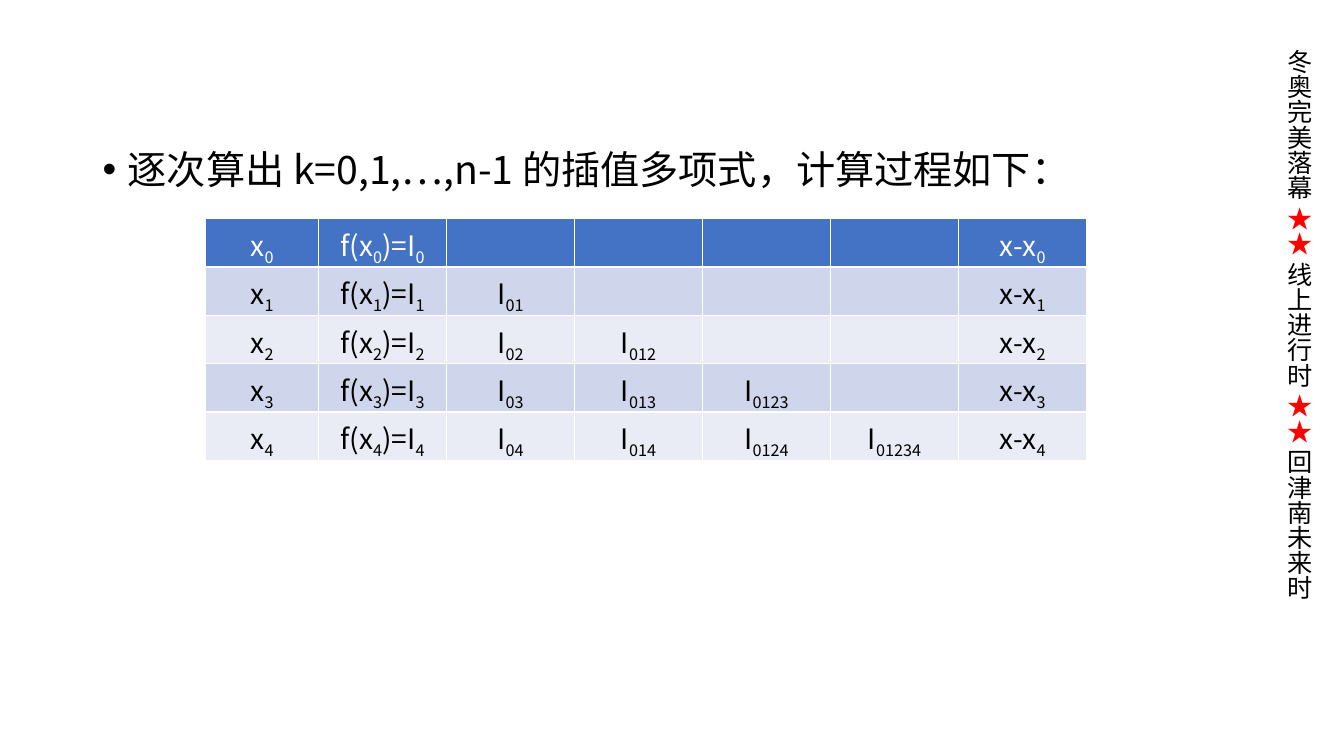
from pptx import Presentation
from pptx import util as u
from pptx.dml import color
from pptx.enum import text
from pptx.oxml import ns
from lxml import etree

PX = 9144
FACE = "Noto Sans CJK SC"


def tint(code):
    return color.RGBColor.from_string(code)


def write(para, size, parts):
    para.font.size = u.Pt(size)
    para.font.name = FACE
    face = etree.SubElement(para._p.pPr.find(ns.qn("a:defRPr")), ns.qn("a:ea"))
    face.set("typeface", FACE)
    for words, ink, base in parts:
        run = para.add_run()
        run.text = words
        run.font.bold = False
        run.font.color.rgb = tint(ink)
        if base:
            run.font._element.set("baseline", str(base))


deck = Presentation()
deck.slide_width, deck.slide_height = 1333 * PX, 750 * PX
slide = deck.slides.add_slide(deck.slide_layouts[6])

side = slide.shapes.add_textbox(1259 * PX, 39 * PX, 50 * PX, 671 * PX)
side.text_frame.word_wrap = True
side.text_frame._txBody.bodyPr.set("vert", "eaVert")
slogan = ["冬奥完美落幕 ", "★★ ", "线上进行时 ", "★★ ", "回津南未来时"]
write(side.text_frame.paragraphs[0], 18,
      [(words, "FF0000" if "★" in words else "000000", 0) for words in slogan])

body = slide.shapes.add_textbox(92 * PX, 125 * PX, 1150 * PX, 550 * PX)
body.text_frame.word_wrap = True
line = body.text_frame.paragraphs[0]
line.line_spacing = 1.3
line.space_before = u.Pt(10)
props = line._p.get_or_add_pPr()
props.set("marL", str(25 * PX))
props.set("indent", str(-25 * PX))
etree.SubElement(props, ns.qn("a:buFont")).set("typeface", "Arial")
etree.SubElement(props, ns.qn("a:buChar")).set("char", "•")
write(line, 28, [("逐次算出 k=0,1,…,n-1 的插值多项式，计算过程如下：", "000000", 0)])

grid = slide.shapes.add_table(5, 7, 204 * PX, 217 * PX, 874 * PX, 205 * PX).table
for c, col in enumerate(grid.columns):
    col.width = (127 if c else 112) * PX
for r, row in enumerate(grid.rows):
    row.height = 41 * PX
    shade = "4472C4" if r == 0 else "CFD5EA" if r % 2 else "E9EBF5"
    ink = "000000" if r else "FFFFFF"
    n = str(r)
    terms = [["x", n], ["f(x", n, ")=I", n]]
    terms += [["I", "0123"[:k] + n] if k <= r else [] for k in range(1, 5)]
    terms.append(["x-x", n])
    for cell, term in zip(row.cells, terms):
        cell.fill.solid()
        cell.fill.fore_color.rgb = tint(shade)
        if term:
            para = cell.text_frame.paragraphs[0]
            para.alignment = text.PP_ALIGN.CENTER
            write(para, 20, [(words, ink, -25000 * (i % 2))
                             for i, words in enumerate(term)])

deck.save("out.pptx")
